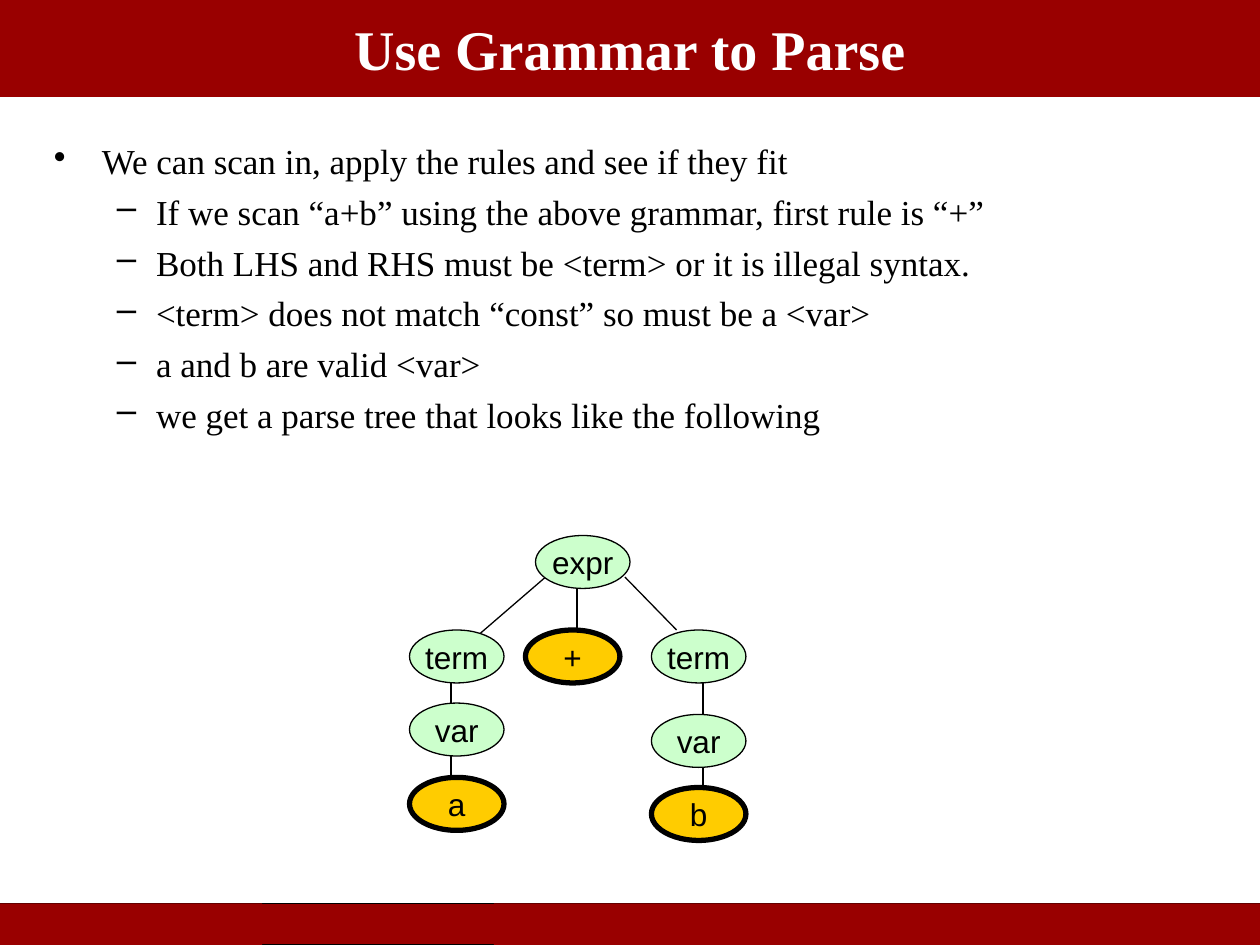
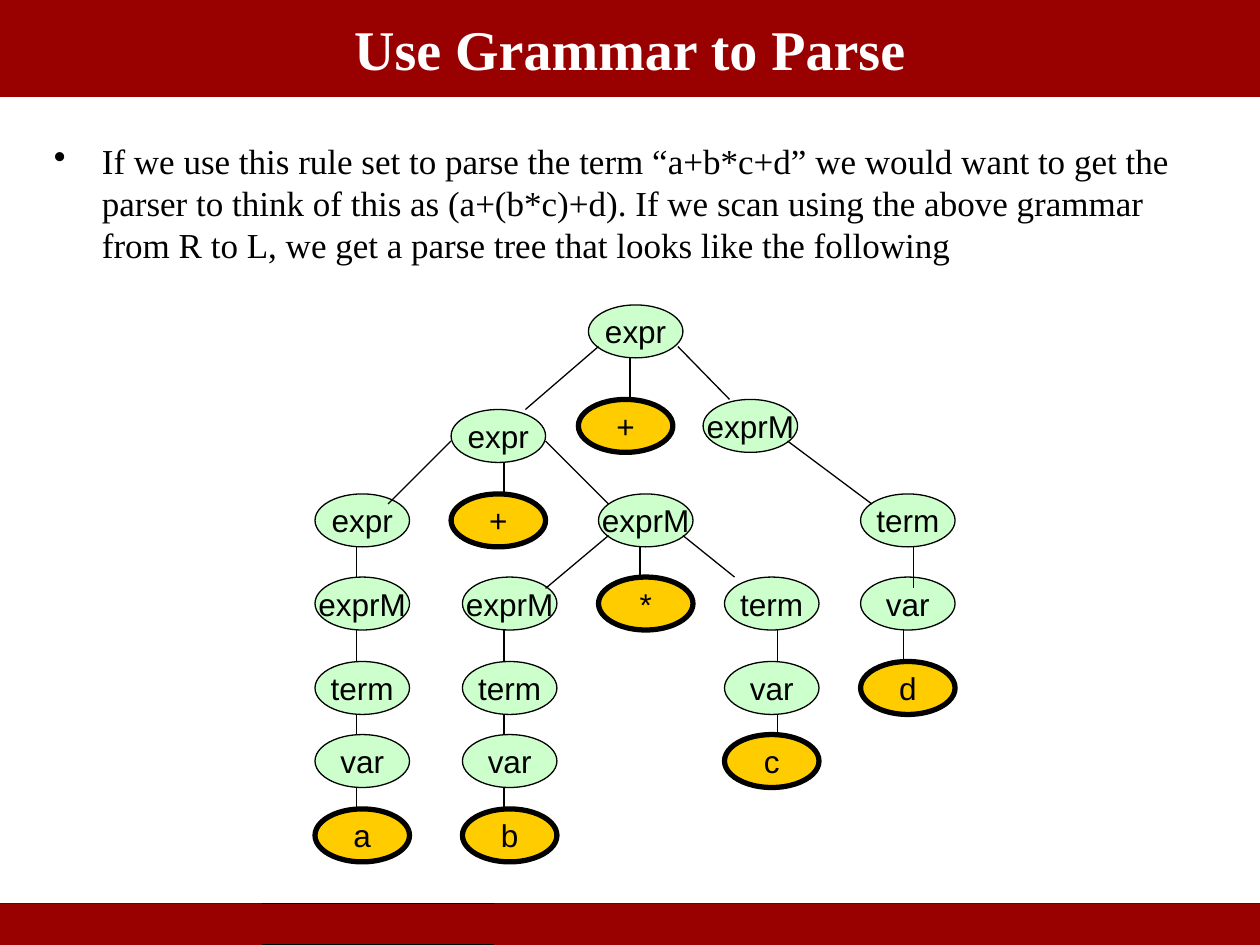
from pptx import Presentation
from pptx.dml.color import RGBColor
from pptx.enum.shapes import MSO_CONNECTOR as Connector, MSO_SHAPE as Shape
from pptx.enum.text import MSO_ANCHOR as Anchor, PP_ALIGN as Align
from pptx.oxml.ns import qn
from pptx.util import Inches, Pt
from lxml.etree import SubElement

RED, BLACK, WHITE, GREEN, GOLD = "990000", "000000", "FFFFFF", "CCFFCC", "FFCC00"
NODE_WIDTH, NODE_HEIGHT = 0.75, 0.42
TITLE_FONT = {"name": "Times New Roman", "size": Pt(32), "bold": True}
BODY_FONT = {"name": "Times New Roman", "size": Pt(20)}
NODE_FONT = {"name": "Arial", "size": Pt(18)}
BULLETS = [("•", 0.38, 0.38), ("–", 0.81, 0.31)]


def color(value):
    return RGBColor.from_string(value)


def apply(target, values):
    for name, value in values.items():
        setattr(target, name, value)


class Pages:
    def __init__(self):
        self.deck = Presentation()
        apply(self.deck, {"slide_width": Inches(10), "slide_height": Inches(7.5)})
        self.page = None

    def start(self, title, points):
        self.page = self.deck.slides.add_slide(self.deck.slide_layouts[6])
        self.shape(Shape.RECTANGLE, (0, 7.17, 10, 0.33), RED, 0.75)
        self.shape(Shape.RECTANGLE, (0, 7.17, 2.08, 0.33), RED)
        self.shape(Shape.RECTANGLE, (3.92, 7.17, 6.08, 0.33), RED)
        band = self.shape(Shape.RECTANGLE, (0, 0, 10, 0.77), RED)
        self.text(band.text_frame.paragraphs[0], title, TITLE_FONT, WHITE, Align.CENTER)
        self.body(points)

    def shape(self, kind, place, fill, line_width=0):
        shape = self.page.shapes.add_shape(kind, *map(Inches, place))
        shape.shadow.inherit = False
        shape.fill.solid()
        shape.fill.fore_color.rgb = color(fill)
        if line_width:
            shape.line.color.rgb = color(BLACK)
            shape.line.width = Pt(line_width)
        else:
            shape.line.fill.background()
        shape.text_frame.vertical_anchor = Anchor.MIDDLE
        return shape

    def text(self, para, words, font, ink, align):
        para.alignment = align
        span = para.add_run()
        span.text = words
        apply(span.font, font)
        span.font.color.rgb = color(ink)

    def body(self, points):
        box = self.page.shapes.add_textbox(*map(Inches, (0.33, 1.06, 9.42, 5.94)))
        frame = box.text_frame
        frame.word_wrap = True
        for index, (level, words) in enumerate(points):
            para = frame.add_paragraph() if index else frame.paragraphs[0]
            mark, margin, hang = BULLETS[level]
            para.level = level
            para.line_spacing = Pt(24)
            if index:
                para.space_before = Pt(5)
            props = para._p.get_or_add_pPr()
            props.set("marL", str(Inches(margin)))
            props.set("indent", str(-Inches(hang)))
            SubElement(props, qn("a:buChar")).set("char", mark)
            self.text(para, words, BODY_FONT, BLACK, Align.LEFT)

    def node(self, left, top, label):
        terminal = len(label) == 1
        oval = self.shape(Shape.OVAL, (left, top, NODE_WIDTH, NODE_HEIGHT),
                          GOLD if terminal else GREEN, 3 if terminal else 0.75)
        oval.text_frame.word_wrap = False
        self.text(oval.text_frame.paragraphs[0], label, NODE_FONT, BLACK, Align.CENTER)

    def edge(self, *ends):
        line = self.page.shapes.add_connector(Connector.STRAIGHT, *map(Inches, ends))
        line.line.color.rgb = color(BLACK)
        line.line.width = Pt(0.75)
        SubElement(line._element.spPr, qn("a:effectLst"))

    def chain(self, left, stem, nodes):
        for top, label in nodes:
            self.node(left, top, label)
        for (top, _), (next_top, _) in zip(nodes, nodes[1:]):
            self.edge(stem, top + NODE_HEIGHT, stem, next_top)

    def root(self, left, top):
        self.node(left, top, "expr")
        self.node(left - 0.08, top + 0.75, "+")
        self.edge(left + 0.33, top + NODE_HEIGHT, left + 0.33, top + 0.75)
        self.edge(left + 0.71, top + 0.33, left + 1.12, top + 0.75)


def simple_tree(pages):
    pages.start("Use Grammar to Parse", [
        (0, "We can scan in, apply the rules and see if they fit"),
        (1, "If we scan “a+b” using the above grammar, first rule is “+”"),
        (1, "Both LHS and RHS must be <term> or it is illegal syntax."),
        (1, "<term> does not match “const” so must be a <var>"),
        (1, "a and b are valid <var>"),
        (1, "we get a parse tree that looks like the following"),
    ])
    pages.edge(4.33, 4.58, 3.75, 5.08)
    pages.root(4.25, 4.25)
    pages.chain(3.25, 3.58, [(5, "term"), (5.58, "var"), (6.17, "a")])
    pages.chain(5.17, 5.58, [(5, "term"), (5.67, "var"), (6.25, "b")])


def nested_tree(pages):
    pages.start("Use Grammar to Parse", [
        (0, "If we use this rule set to parse the term “a+b*c+d” we would want to get the "
            "parser to think of this as (a+(b*c)+d). If we scan using the above grammar "
            "from R to L, we get a parse tree that looks like the following"),
    ])
    pages.root(4.67, 2.42)
    lower = [(4.58, "exprM"), (5.25, "term"), (5.83, "var")]
    pages.chain(2.5, 2.83, [(3.92, "expr"), *lower, (6.42, "a")])
    pages.chain(3.67, 4, [*lower, (6.42, "b")])
    pages.chain(5.75, 6.17, [(4.58, "term"), (5.25, "var"), (5.83, "c")])
    pages.chain(3.58, 4, [(3.25, "expr"), (3.92, "+")])
    pages.chain(4.75, 5.08, [(3.92, "exprM"), (4.58, "*")])
    pages.node(5.58, 3.17, "exprM")
    pages.node(6.83, 3.92, "term")
    pages.chain(6.83, 7.17, [(4.58, "var"), (5.25, "d")])
    for ends in [
        (4.75, 2.75, 4.17, 3.25), (6.25, 3.5, 6.92, 4), (7.25, 4.33, 7.25, 4.67),
        (3.58, 3.5, 3.08, 4), (4.33, 3.5, 4.83, 4),
        (4.83, 4.25, 4.33, 4.67), (5.42, 4.25, 5.83, 4.58),
    ]:
        pages.edge(*ends)


def main():
    pages = Pages()
    simple_tree(pages)
    nested_tree(pages)
    pages.deck.save("out.pptx")


if __name__ == "__main__":
    main()
